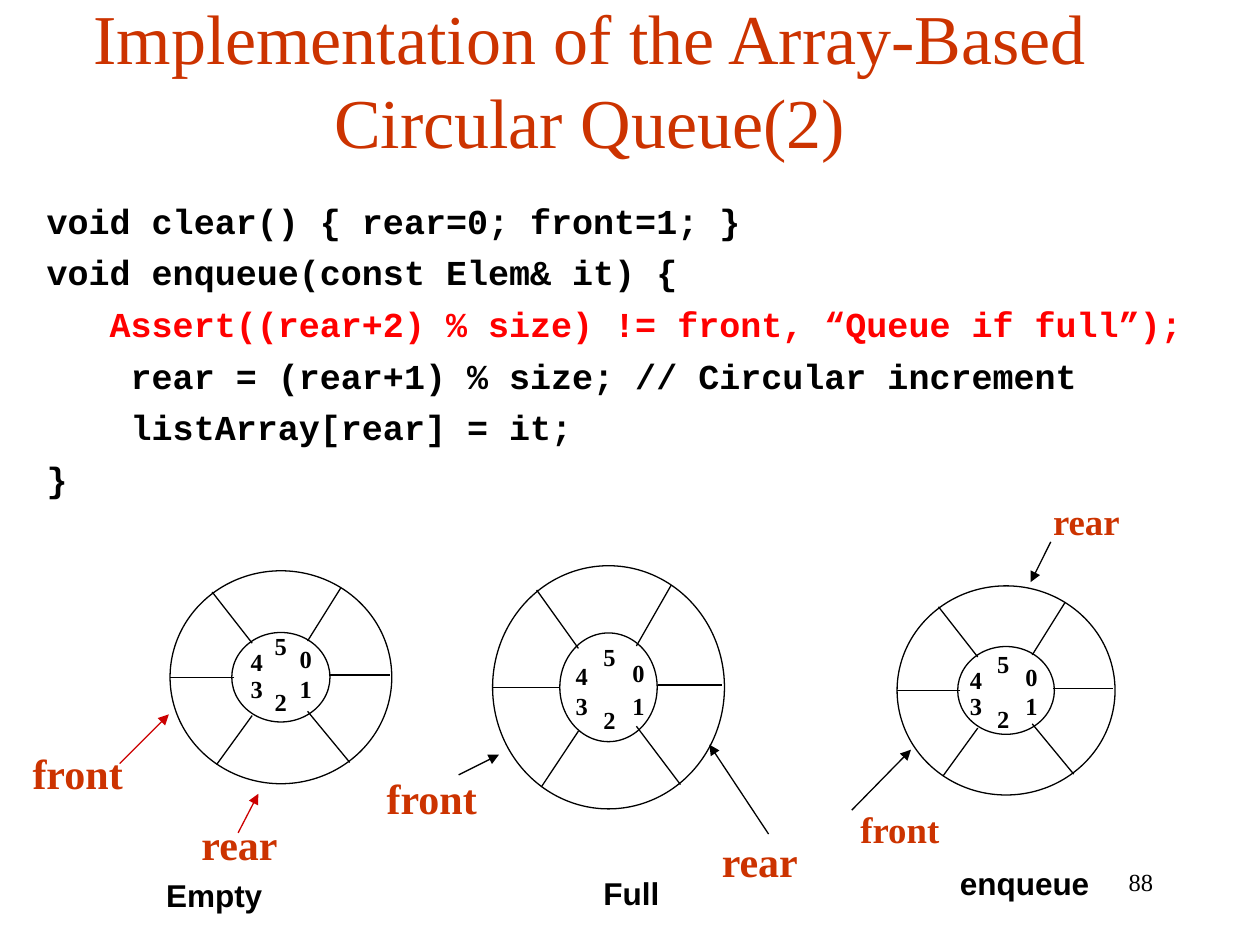
import pptx
import pptx.util
import pptx.dml.color
import pptx.enum.shapes
import pptx.enum.text
import pptx.oxml.ns
from lxml import etree

COLORS = {"black": "000000", "white": "FFFFFF", "rust": "CC3300",
          "red": "FF0000", "arrow": "CC0000"}
COLUMNS, ROWS = 100, 75
SERIF, SANS, MONO = "Times New Roman", "Arial", "Courier New"

CODE = [
    ("void clear() { rear=0; front=1; }", "black"),
    ("void enqueue(const Elem& it) {", "black"),
    ("   Assert((rear+2) % size) != front, “Queue if full”);", "red"),
    ("    rear = (rear+1) % size; // Circular increment", "black"),
    ("    listArray[rear] = it;", "black"),
    ("}", "black"),
]
SPOKES = [
    ((0.715, 0.49), (0.99, 0.49)), ((0.29, 0.5), (0, 0.5)),
    ((0.77, 0.08), (0.62, 0.33)), ((0.37, 0.68), (0.21, 0.91)),
    ((0.62, 0.66), (0.81, 0.9)), ((0.37, 0.34), (0.19, 0.1)),
]
DIGITS = {"4": (0, 0.29), "2": (0.49, 1), "0": (1, 0.24),
          "1": (1, 0.77), "3": (0, 0.77), "5": (0.49, 0)}
QUEUES = [
    {"ring": (13.5, 45.3, 17.6, 16.9), "digits": (18.9, 49.6, 3.9, 4.4),
     "caption": ("Empty", (12.2, 69, 15, 4)), "size": 24, "arrow": "arrow",
     "labels": [("front", (1.6, 58.8, 9.2, 5)), ("rear", (15, 64.5, 8.1, 5))],
     "arrows": [((9.5, 60.6), (13.4, 56.7)), ((18.9, 66.1), (20.5, 63))]},
    {"ring": (39.1, 44.9, 18.4, 19.3), "digits": (44.7, 50.5, 4.5, 5),
     "caption": ("Full", (46.9, 68.9, 6.5, 4)), "size": 24, "arrow": "black",
     "labels": [("front", (29.7, 60.8, 9.2, 5)), ("rear", (56.3, 65.8, 8.1, 5))],
     "arrows": [((36.4, 61.5), (39.6, 59.9)), ((61, 66.2), (56.3, 59.1))]},
    {"ring": (71.2, 46.5, 17.3, 16.6), "digits": (76, 51, 4.4, 4.4),
     "caption": ("enqueue", (75.2, 68.1, 12.3, 4)), "size": 21, "arrow": "black",
     "labels": [("front", (67.3, 63.5, 8.3, 4.5)), ("rear", (82.6, 39.1, 7.6, 4.5))],
     "arrows": [((67.6, 64.3), (72.3, 59.5)), ((83.4, 43), (81.8, 46.2))]},
]

presentation = pptx.Presentation()
presentation.slide_width = pptx.util.Inches(10)
presentation.slide_height = pptx.util.Inches(7.5)


def rgb(name):
    return pptx.dml.color.RGBColor.from_string(COLORS[name])


def across(columns):
    return round(columns * presentation.slide_width / COLUMNS)


def down(rows):
    return round(rows * presentation.slide_height / ROWS)


def to_lengths(box):
    left, top, width, height = box
    return across(left), down(top), across(width), down(height)


def within(box, share):
    left, top, width, height = box
    return left + share[0] * width, top + share[1] * height


def format_runs(paragraph, font_name, size, color, bold):
    for run in paragraph.runs:
        run.font.name = font_name
        run.font.size = pptx.util.Pt(size)
        run.font.bold = bold
        run.font.color.rgb = rgb(color)


def add_label(slide, box, text, font_name, size, color="black", bold=True):
    shape = slide.shapes.add_textbox(*to_lengths(box))
    shape.text_frame.text = text
    shape.text_frame.word_wrap = False
    shape.text_frame.auto_size = pptx.enum.text.MSO_AUTO_SIZE.SHAPE_TO_FIT_TEXT
    format_runs(shape.text_frame.paragraphs[0], font_name, size, color, bold)
    return shape


def add_line(slide, start, end, color="black", arrow=False):
    connector = slide.shapes.add_connector(
        pptx.enum.shapes.MSO_CONNECTOR.STRAIGHT,
        across(start[0]), down(start[1]), across(end[0]), down(end[1]))
    connector.line.color.rgb = rgb(color)
    connector.line.width = pptx.util.Pt(0.75)
    if arrow:
        line = connector.line._get_or_add_ln()
        etree.SubElement(line, pptx.oxml.ns.qn("a:tailEnd"), type="triangle")
    etree.SubElement(connector._element.spPr, pptx.oxml.ns.qn("a:effectLst"))


def fill_placeholder(shape, box, text):
    shape.left, shape.top, shape.width, shape.height = to_lengths(box)
    shape.text_frame.text = text
    shape.text_frame.word_wrap = True
    shape.text_frame.auto_size = pptx.enum.text.MSO_AUTO_SIZE.NONE


def add_title(slide, box):
    title = slide.shapes.title
    fill_placeholder(title, box, "Implementation of the Array-Based Circular Queue(2)")
    title.text_frame.vertical_anchor = pptx.enum.text.MSO_ANCHOR.MIDDLE
    paragraph = title.text_frame.paragraphs[0]
    paragraph.alignment = pptx.enum.text.PP_ALIGN.CENTER
    format_runs(paragraph, SERIF, 40, "rust", False)


def add_code(slide, box):
    body = slide.placeholders[1]
    fill_placeholder(body, box, "\n".join(text for text, color in CODE))
    for index, (paragraph, (text, color)) in enumerate(zip(body.text_frame.paragraphs, CODE)):
        paragraph.space_before = pptx.util.Pt(5.5 if index else 0)
        properties = paragraph._p.get_or_add_pPr()
        indent = across(3.75)
        properties.set("marL", str(indent))
        properties.set("indent", str(-indent))
        etree.SubElement(properties, pptx.oxml.ns.qn("a:buNone"))
        format_runs(paragraph, MONO, 20, color, True)


def add_ring(slide, box, digit_box):
    ring = slide.shapes.add_shape(pptx.enum.shapes.MSO_SHAPE.DONUT, *to_lengths(box))
    ring.adjustments[0] = 0.29
    ring.shadow.inherit = False
    ring.fill.solid()
    ring.fill.fore_color.rgb = rgb("white")
    ring.line.color.rgb = rgb("black")
    ring.line.width = pptx.util.Pt(0.75)
    for start, end in SPOKES:
        add_line(slide, within(box, start), within(box, end))
    for digit, share in DIGITS.items():
        add_label(slide, (*within(digit_box, share), 3, 3.3), digit, SERIF, 14)


def add_queue(slide, queue):
    add_ring(slide, queue["ring"], queue["digits"])
    for text, box in queue["labels"]:
        add_label(slide, box, text, SERIF, queue["size"], "rust")
    for start, end in queue["arrows"]:
        add_line(slide, start, end, queue["arrow"], arrow=True)
    text, box = queue["caption"]
    caption = add_label(slide, box, text, SANS, 18)
    caption.text_frame.word_wrap = text == "Empty"
    caption.text_frame.vertical_anchor = pptx.enum.text.MSO_ANCHOR.MIDDLE


def add_page_number(slide, box):
    number = add_label(slide, box, "88", SERIF, 14, bold=False)
    number.text_frame.word_wrap = True
    number.text_frame.auto_size = pptx.enum.text.MSO_AUTO_SIZE.NONE
    number.text_frame.paragraphs[0].alignment = pptx.enum.text.PP_ALIGN.RIGHT


def main():
    slide = presentation.slides.add_slide(presentation.slide_layouts[1])
    add_title(slide, (4.3, 0, 85, 12.5))
    add_code(slide, (2.7, 15.3, 96.3, 44.4))
    for queue in QUEUES:
        add_queue(slide, queue)
    add_page_number(slide, (71.7, 68.3, 20.8, 5))
    presentation.save("out.pptx")


if __name__ == "__main__":
    main()
